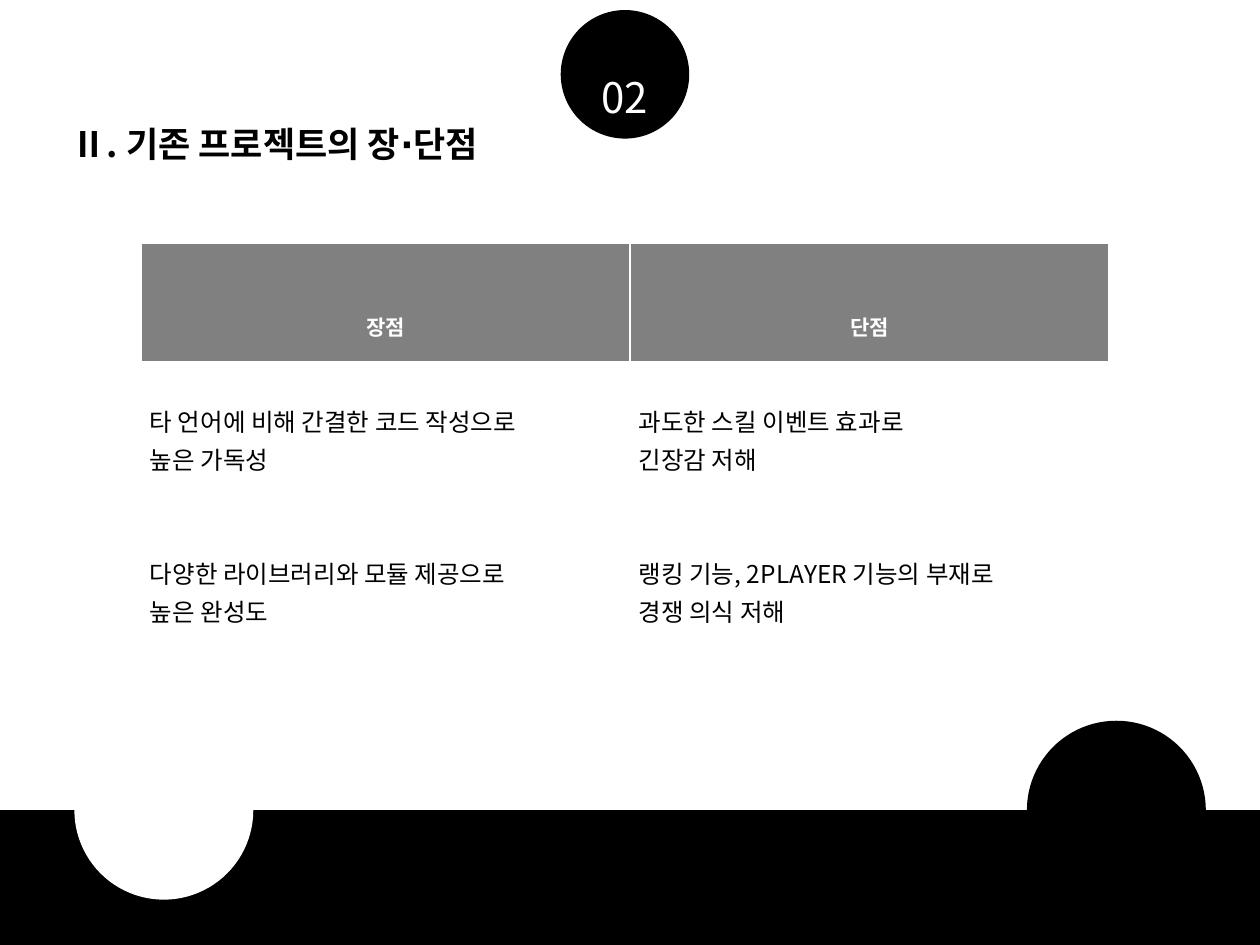
from dataclasses import dataclass
from lxml.etree import SubElement
from pptx import Presentation
from pptx.dml.color import RGBColor
from pptx.enum.shapes import MSO_SHAPE
from pptx.enum.text import MSO_ANCHOR, PP_ALIGN
from pptx.oxml.ns import qn
from pptx.util import Inches, Pt

TITLE = "Ⅱ. 기존 프로젝트의 장∙단점"
NUMBER = "02"
COLUMNS = [
    ("장점", 3.88, [
        ("타 언어에 비해 간결한 코드 작성으로", "높은 가독성"),
        ("다양한 라이브러리와 모듈 제공으로", "높은 완성도"),
    ]),
    ("단점", 3.8, [
        ("과도한 스킬 이벤트 효과로", "긴장감 저해"),
        ("랭킹 기능, 2PLAYER 기능의 부재로", "경쟁 의식 저해"),
    ]),
]
ROW_HEIGHTS = (0.95, 2.84)


@dataclass(frozen=True)
class Theme:
    font: str = "Noto Sans CJK KR"
    black: RGBColor = RGBColor(0, 0, 0)
    white: RGBColor = RGBColor(255, 255, 255)
    gray: RGBColor = RGBColor(128, 128, 128)
    number: int = 24
    title: int = 20
    header: int = 12
    body: int = 14
    group_gap: int = 43
    line_spacing: float = 1.07


theme = Theme()


def write(para, text, size, color, align, bold=False):
    para.text = text
    para.alignment = align
    font = para.font
    font.size, font.bold, font.name = Pt(size), bold, theme.font
    font.color.rgb = color
    properties = para._p.pPr.find(qn("a:defRPr"))
    SubElement(properties, qn("a:ea"), typeface=theme.font)


def add_filled(slide, kind, left, top, width, height, color):
    shape = slide.shapes.add_shape(
        kind, Inches(left), Inches(top), Inches(width), Inches(height))
    shape.shadow.inherit = False
    shape.fill.solid()
    shape.fill.fore_color.rgb = color
    shape.line.fill.background()


def format_cell(cell, color, margin_top, bottom_width):
    properties = cell._tc.get_or_add_tcPr()
    for side, width in (("L", 1), ("R", 1), ("T", 1), ("B", bottom_width)):
        line = SubElement(properties, qn(f"a:ln{side}"), w=str(Pt(width)))
        fill = SubElement(line, qn("a:solidFill"))
        SubElement(fill, qn("a:srgbClr"), val=str(theme.white))
    cell.fill.solid()
    cell.fill.fore_color.rgb = color
    cell.margin_left = cell.margin_right = Inches(0.07)
    cell.margin_top, cell.margin_bottom = Inches(margin_top), 0
    cell.vertical_anchor = MSO_ANCHOR.TOP


def fill_header(cell, text):
    format_cell(cell, theme.gray, 0.52, 3)
    para = cell.text_frame.paragraphs[0]
    write(para, text, theme.header, theme.white, PP_ALIGN.CENTER, True)
    para.line_spacing = theme.line_spacing


def fill_body(cell, groups):
    format_cell(cell, theme.white, 0.3, 1)
    frame = cell.text_frame
    for group_index, group in enumerate(groups):
        for line_index, text in enumerate(group):
            first = group_index == line_index == 0
            para = frame.paragraphs[0] if first else frame.add_paragraph()
            write(para, text, theme.body, theme.black, PP_ALIGN.JUSTIFY)
            para.line_spacing = theme.line_spacing
            if group_index and not line_index:
                para.space_before = Pt(theme.group_gap)


deck = Presentation()
deck.slide_width, deck.slide_height = Inches(10), Inches(7.5)
page = deck.slides.add_slide(deck.slide_layouts[5])

add_filled(page, MSO_SHAPE.OVAL, 4.45, 0.08, 1.02, 1.02, theme.black)
number_box = page.shapes.add_textbox(
    Inches(4.37), Inches(0.52), Inches(1.18), Inches(0.5))
number_box.text_frame.word_wrap = True
write(number_box.text_frame.paragraphs[0], NUMBER, theme.number,
      theme.white, PP_ALIGN.CENTER)

title = page.shapes.title
title.left, title.top = Inches(0.47), Inches(0.92)
title.width, title.height = Inches(3.82), Inches(0.44)
title.text_frame.word_wrap = True
title.text_frame.vertical_anchor = MSO_ANCHOR.TOP
write(title.text_frame.paragraphs[0], TITLE, theme.title,
      theme.black, PP_ALIGN.LEFT, True)

table = page.shapes.add_table(
    len(ROW_HEIGHTS), len(COLUMNS), Inches(1.12), Inches(1.93),
    Inches(sum(width for _, width, _ in COLUMNS)),
    Inches(sum(ROW_HEIGHTS))).table
table.first_row = table.horz_banding = False
for row, height in zip(table.rows, ROW_HEIGHTS):
    row.height = Inches(height)
for index, (heading, width, groups) in enumerate(COLUMNS):
    table.columns[index].width = Inches(width)
    fill_header(table.cell(0, index), heading)
    fill_body(table.cell(1, index), groups)

add_filled(page, MSO_SHAPE.RECTANGLE, 0, 6.43, 10, 1.07, theme.black)
for left, color in ((8.15, theme.black), (0.59, theme.white)):
    add_filled(page, MSO_SHAPE.OVAL, left, 5.72, 1.42, 1.42, color)

deck.save("out.pptx")
